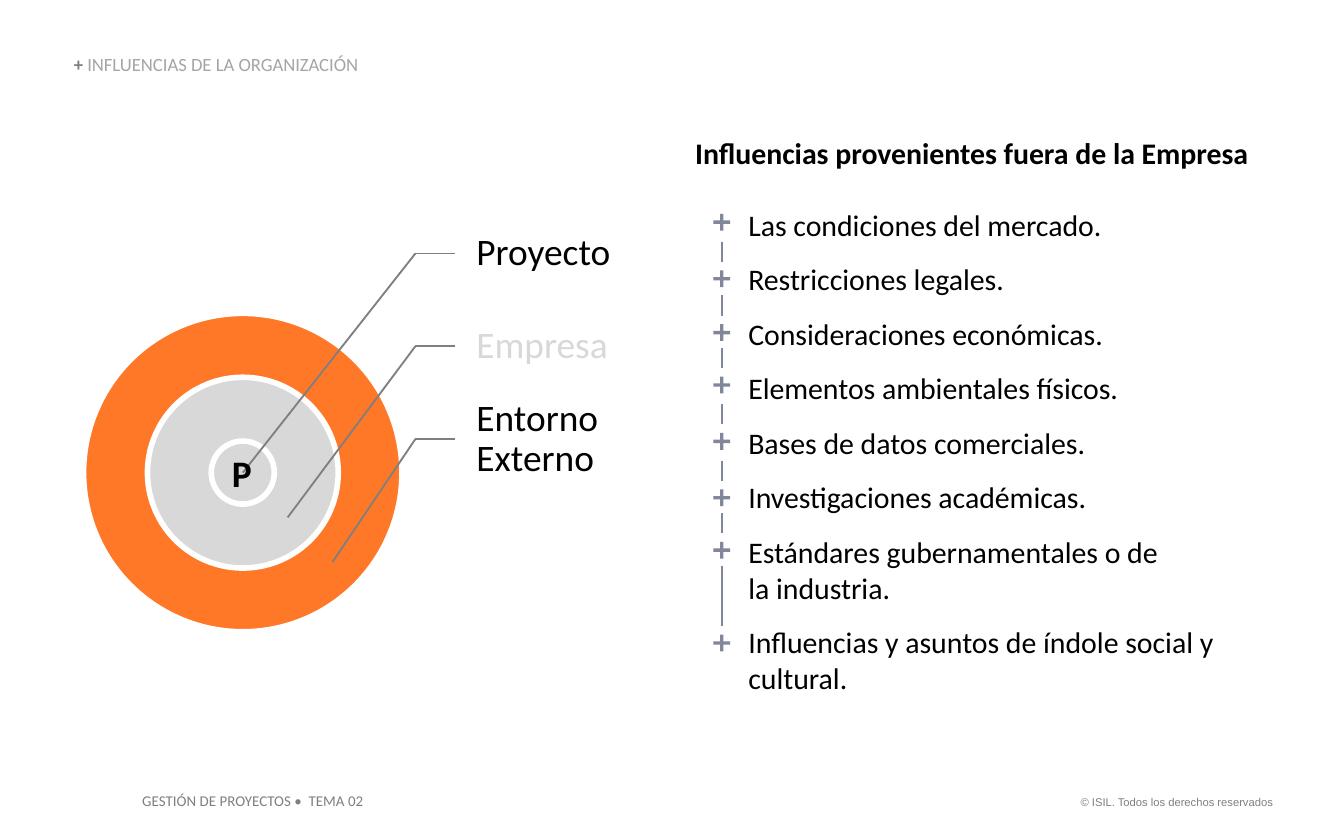
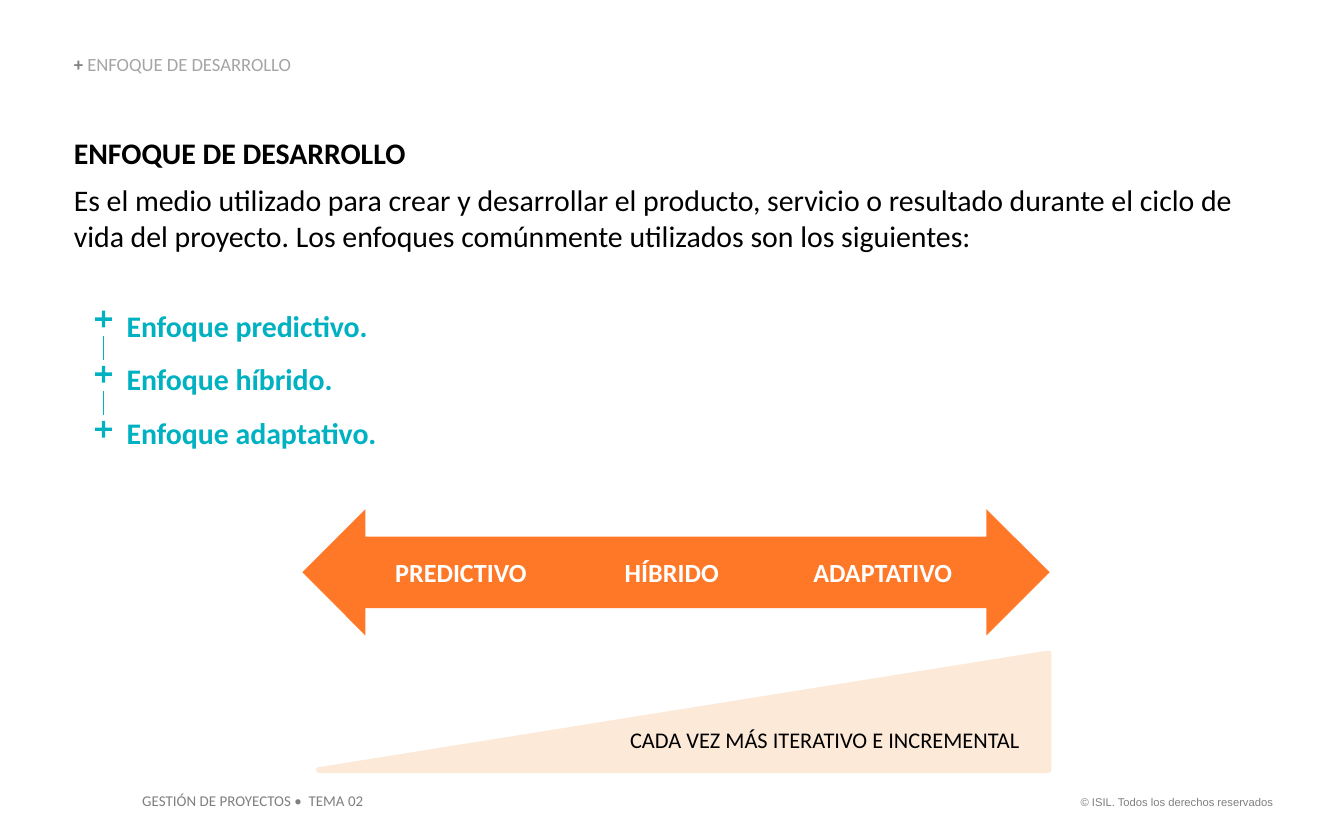
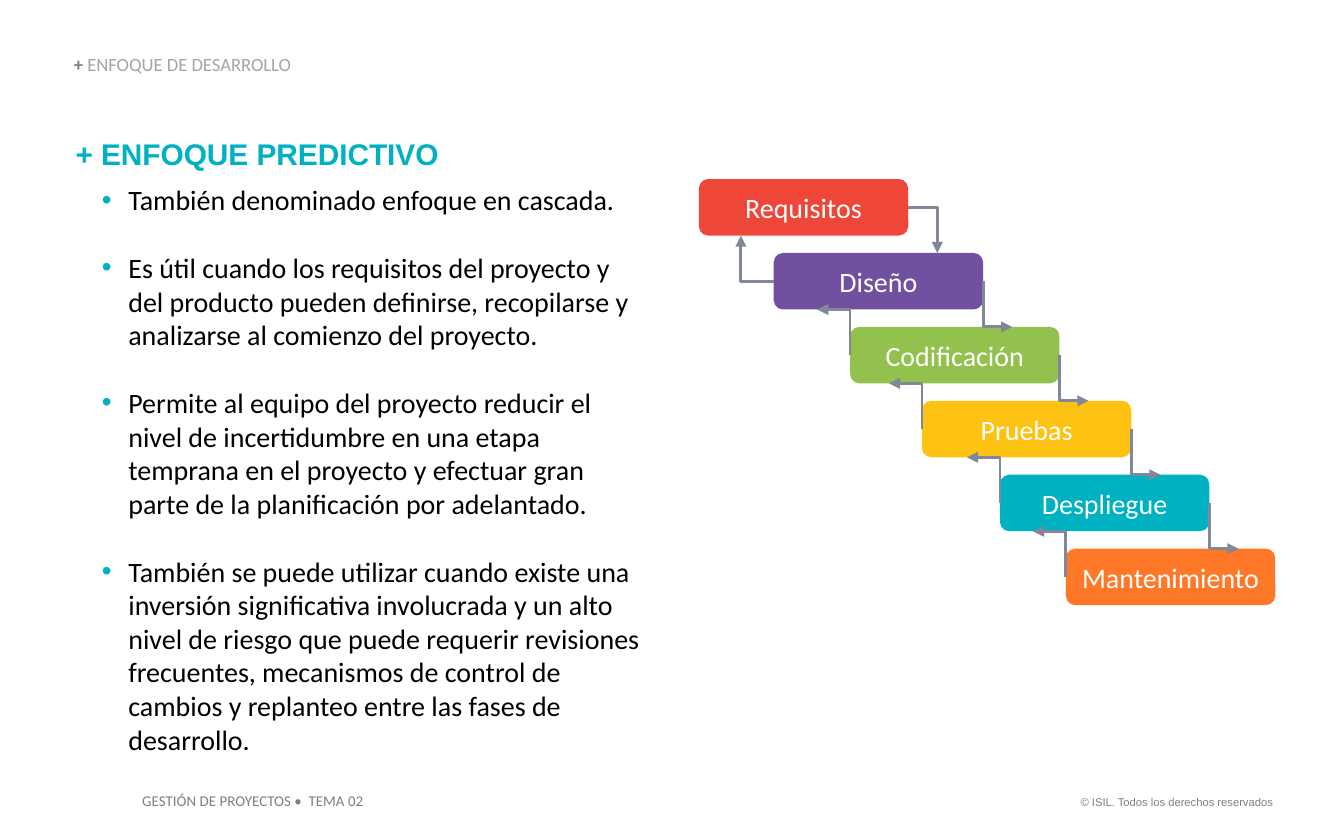
import pptx
import pptx.chart.data
import pptx.dml.color
import pptx.enum.shapes
import pptx.enum.text
import pptx.oxml.ns
import pptx.util
from lxml import etree

Pt = pptx.util.Pt
qn = pptx.oxml.ns.qn
SHAPE = pptx.enum.shapes.MSO_SHAPE
CONNECTOR = pptx.enum.shapes.MSO_CONNECTOR
ALIGN = pptx.enum.text.PP_ALIGN
ANCHOR = pptx.enum.text.MSO_ANCHOR

COLORS = {
    "black": "000000", "white": "FFFFFF", "gray": "7F7F7F", "title": "A5A5A5",
    "light": "D8D8D8", "slate": "808799", "orange": "FE7828", "peach": "FDE9D8",
    "teal": "00B1C2", "red": "EE4639", "purple": "7150A0", "green": "92C14E",
    "yellow": "FDC212",
}

FOOTERS = [
    ("© ISIL. Todos los derechos reservados", (569.5, 422.6, 119.5, 14.4),
     {"size": 6, "font": "Arial", "color": "gray", "align": ALIGN.RIGHT}),
    ("GESTIÓN DE PROYECTOS •  TEMA 02", (69.1, 420.5, 134, 17.3),
     {"size": 8, "color": "gray"}),
]

OUTSIDE_HEADING = "Influencias provenientes fuera de la Empresa"
OUTSIDE_INFLUENCES = [
    "Las condiciones del mercado.",
    "Restricciones legales.",
    "Consideraciones económicas.",
    "Elementos ambientales físicos.",
    "Bases de datos comerciales.",
    "Investigaciones académicas.",
    "Estándares gubernamentales o de \vla industria.",
    "Influencias y asuntos de índole social y cultural.",
]
INFLUENCE_TOPS = [113, 143.3, 172.1, 200.2, 230.4, 260.6, 288.7, 338.4]
INFLUENCE_LINKS = [10.8] * 6 + [32.4]
RINGS = [(170.6, "orange"), (102.2, "light"), (33.8, "light")]
RING_CENTER = (130.1, 253.2)
RING_LABELS = [("Proyecto", "black"), ("Empresa", "light"), ("Entorno Externo", "black")]

APPROACH_HEADING = "ENFOQUE DE DESARROLLO"
APPROACH_INTRO = (
    "Es el medio utilizado para crear y desarrollar el producto, servicio o resultado "
    "durante el ciclo de vida del proyecto. Los enfoques comúnmente utilizados son los "
    "siguientes:"
)
APPROACHES = ["Enfoque predictivo.", "Enfoque híbrido.", "Enfoque adaptativo."]
APPROACH_TOPS = [164.9, 194.4, 223.9]
ARROW_LABELS = ["PREDICTIVO", "HÍBRIDO", "ADAPTATIVO"]
WEDGE_LABEL = "CADA VEZ MÁS ITERATIVO E INCREMENTAL"

PREDICTIVE_HEADING = "+ ENFOQUE PREDICTIVO"
PREDICTIVE_POINTS = [
    "También denominado enfoque en cascada.",
    "Es útil cuando los requisitos del proyecto y del producto pueden definirse, "
    "recopilarse y analizarse al comienzo del proyecto.",
    "Permite al equipo del proyecto reducir el nivel de incertidumbre en una etapa "
    "temprana en el proyecto y efectuar gran parte de la planificación por adelantado.",
    "También se puede utilizar cuando existe una inversión significativa involucrada y "
    "un alto nivel de riesgo que puede requerir revisiones frecuentes, mecanismos de "
    "control de cambios y replanteo entre las fases de desarrollo.",
]
STAGES = [
    ("Requisitos", "red", 374.4), ("Diseño", "purple", 414.5),
    ("Codificación", "green", 455.4), ("Pruebas", "yellow", 493.9),
    ("Despliegue", "teal", 535.7), ("Mantenimiento", "orange", 571),
]


def rgb(name):
    return pptx.dml.color.RGBColor.from_string(COLORS[name])


def style_span(span, size=16, font="Calibri", color="black", bold=False):
    span.font.size = Pt(size)
    span.font.name = font
    span.font.bold = bold
    span.font.color.rgb = rgb(color)


def write_para(para, text, align=None, before=0, spacing=None, indent=0, hanging=0,
               bullet=None, **look):
    para.text = text
    props = para._p.get_or_add_pPr()
    if indent:
        props.set("marL", str(Pt(indent)))
        props.set("indent", str(-Pt(hanging)))
    if bullet:
        color = etree.SubElement(props, qn("a:buClr"))
        etree.SubElement(color, qn("a:srgbClr"), val=COLORS[bullet])
        etree.SubElement(props, qn("a:buFont"), typeface="Arial")
        etree.SubElement(props, qn("a:buChar"), char="•")
    if align is not None:
        para.alignment = align
    if before:
        para.space_before = Pt(before)
    if spacing:
        para.line_spacing = spacing
    for span in para.runs:
        style_span(span, **look)
    for line_break in para._p.findall(qn("a:br")):
        etree.SubElement(line_break, qn("a:rPr"), sz=str(look.get("size", 16) * 100))


def write_frame(frame, paras, anchor=ANCHOR.TOP, insets=(0, 0, 0, 0)):
    frame.word_wrap = True
    frame.vertical_anchor = anchor
    frame.margin_left, frame.margin_top, frame.margin_right, frame.margin_bottom = map(Pt, insets)
    for index, (text, look) in enumerate(paras):
        para = frame.add_paragraph() if index else frame.paragraphs[0]
        write_para(para, text, **look)


def add_text(page, place, paras, **layout):
    box = page.shapes.add_textbox(*map(Pt, place))
    write_frame(box.text_frame, paras, **layout)
    return box


def add_figure(page, kind, place, fill, line=None, adjustments=()):
    figure = page.shapes.add_shape(kind, *map(Pt, place))
    figure.shadow.inherit = False
    figure.fill.solid()
    figure.fill.fore_color.rgb = rgb(fill)
    if line:
        figure.line.color.rgb = rgb(line)
        figure.line.width = Pt(3)
    else:
        figure.line.fill.background()
    for index, value in enumerate(adjustments):
        figure.adjustments[index] = value
    return figure


def add_line(page, start, end, color, width=1, kind=CONNECTOR.STRAIGHT):
    line = page.shapes.add_connector(kind, *map(Pt, (*start, *end)))
    line.line.color.rgb = rgb(color)
    line.line.width = Pt(width)
    etree.SubElement(line._element.spPr, qn("a:effectLst"))
    return line


def add_bent_arrow(page, start, end, turn):
    width, height = abs(end[0] - start[0]), abs(end[1] - start[1])
    sideways = turn in (90, 270)
    if sideways:
        width, height = height, width
    left = (start[0] + end[0] - width) / 2
    top = (start[1] + end[1] - height) / 2
    arrow = add_line(page, (left, top), (left + width, top + height), "slate", 1.5,
                     CONNECTOR.ELBOW)
    props = arrow._element.spPr
    props.find(qn("a:prstGeom")).set("prst", "bentConnector2")
    props.find(qn("a:xfrm")).set("rot", str(turn * 60000))
    if sideways:
        props.find(qn("a:xfrm")).set("flipH", "1")
    etree.SubElement(props.find(qn("a:ln")), qn("a:tailEnd"), type="triangle")


def add_plus_chain(page, left, tops, links, gap, color):
    size = 12.2
    center = left + size / 2
    for top in tops:
        add_figure(page, SHAPE.MATH_PLUS, (left, top, size, size), color, adjustments=[0.152])
    for next_top, length in zip(tops[1:], links):
        end = next_top - gap
        add_line(page, (center, end - length), (center, end), color)


def add_page(deck, title):
    page = deck.slides.add_slide(deck.slide_layouts[6])
    for text, place, look in FOOTERS:
        add_text(page, place, [(text, look)], insets=(7.2, 3.6, 7.2, 3.6))
    plus = ("+ ", {"size": 10, "color": "gray", "bold": True, "spacing": 0.9})
    box = add_text(page, (39.6, 29.5, 352.8, 10.8), [plus], anchor=ANCHOR.BOTTOM)
    span = box.text_frame.paragraphs[0].add_run()
    span.text = title
    style_span(span, size=10, color="title")
    return page


def build_influences(deck):
    page = add_page(deck, "INFLUENCIAS DE LA ORGANIZACIÓN")
    paras = [(OUTSIDE_HEADING, {"bold": True})]
    for index, text in enumerate(OUTSIDE_INFLUENCES):
        paras.append((text, {"indent": 28.5, "before": 10 if index else 19.5}))
    add_text(page, (372.4, 72, 310.3, 303), paras)

    center_x, center_y = RING_CENTER
    for size, fill in RINGS:
        place = (center_x - size / 2, center_y - size / 2, size, size)
        add_figure(page, SHAPE.OVAL, place, fill, "white")

    bend_x, label_x, row_height = 222.5, 244, 49.7
    for index, (text, color) in enumerate(RING_LABELS):
        top = 111 + index * row_height
        middle = top + row_height / 2
        target = (center_x + 24 * index, center_y + 24 * index)
        add_text(page, (label_x, top, 85.7, row_height),
                 [(text, {"size": 20, "color": color, "spacing": 0.9})],
                 anchor=ANCHOR.MIDDLE, insets=(11.2, 2, 2, 2))
        add_line(page, (bend_x, middle), (label_x, middle), "gray")
        add_line(page, (bend_x, middle), target, "gray")

    add_text(page, (116.6, 237.6, 25.9, 31.7),
             [("P", {"size": 20, "bold": True, "align": ALIGN.CENTER})], insets=(0, 3.6, 0, 3.6))
    add_plus_chain(page, 380.6, INFLUENCE_TOPS, INFLUENCE_LINKS, 3, "slate")


def build_approaches(deck):
    page = add_page(deck, "ENFOQUE DE DESARROLLO")
    paras = [(APPROACH_HEADING, {"bold": True}), (APPROACH_INTRO, {"before": 6})]
    for index, text in enumerate(APPROACHES):
        paras.append((text, {"color": "teal", "bold": True, "indent": 28.3, "spacing": 1.5,
                             "before": 0 if index else 19.5}))
    add_text(page, (39.6, 72, 643, 167.8), paras)
    add_plus_chain(page, 49.4, APPROACH_TOPS, [13, 13], 1.5, "teal")

    add_figure(page, SHAPE.LEFT_RIGHT_ARROW, (162, 272.8, 400.3, 67.6), "orange",
               adjustments=[0.567, 0.5])
    for index, text in enumerate(ARROW_LABELS):
        add_text(page, (205.9 + 113 * index, 298.1, 82, 17.3),
                 [(text, {"size": 14, "color": "white", "bold": True, "align": ALIGN.CENTER})])
    wedge = add_figure(page, SHAPE.RIGHT_TRIANGLE, (170.8, 350, 391, 62.5), "peach", "peach")
    wedge._element.spPr.find(qn("a:xfrm")).set("flipH", "1")
    add_text(page, (334, 388.8, 216, 14.4),
             [(WEDGE_LABEL, {"size": 12, "align": ALIGN.CENTER})])


def build_predictive(deck):
    page = add_page(deck, "ENFOQUE DE DESARROLLO")
    paras = [(PREDICTIVE_HEADING, {"font": "Arial", "color": "teal", "bold": True})]
    for index, text in enumerate(PREDICTIVE_POINTS):
        paras.append((text, {"size": 15, "indent": 28.3, "hanging": 14.2, "bullet": "teal",
                             "before": 18.3 if index else 6}))
    add_text(page, (40.5, 72.7, 305.3, 334), paras)

    width, height, first_top, step = 112.2, 30.3, 95.9, 39.6
    tops = [first_top + step * index for index in range(len(STAGES))]
    for (text, fill, left), top in zip(STAGES, tops):
        stage = add_figure(page, SHAPE.ROUNDED_RECTANGLE, (left, top, width, height), fill)
        write_frame(stage.text_frame,
                    [(text, {"size": 15, "color": "white", "align": ALIGN.CENTER})],
                    anchor=ANCHOR.MIDDLE)

    for index in range(len(STAGES) - 1):
        right = STAGES[index][2] + width
        next_left = STAGES[index + 1][2]
        top, next_top = tops[index:index + 2]
        forward, back = (270, 90) if index else (0, 180)
        add_bent_arrow(page, (right, top + height / 2), (right + 15.6, next_top), forward)
        add_bent_arrow(page, (next_left, next_top + height / 2),
                       (next_left - 17.6, top + height), back)


def main():
    deck = pptx.Presentation()
    deck.slide_width, deck.slide_height = Pt(720), Pt(450)
    build_influences(deck)
    build_approaches(deck)
    build_predictive(deck)
    deck.save("out.pptx")


if __name__ == "__main__":
    main()
